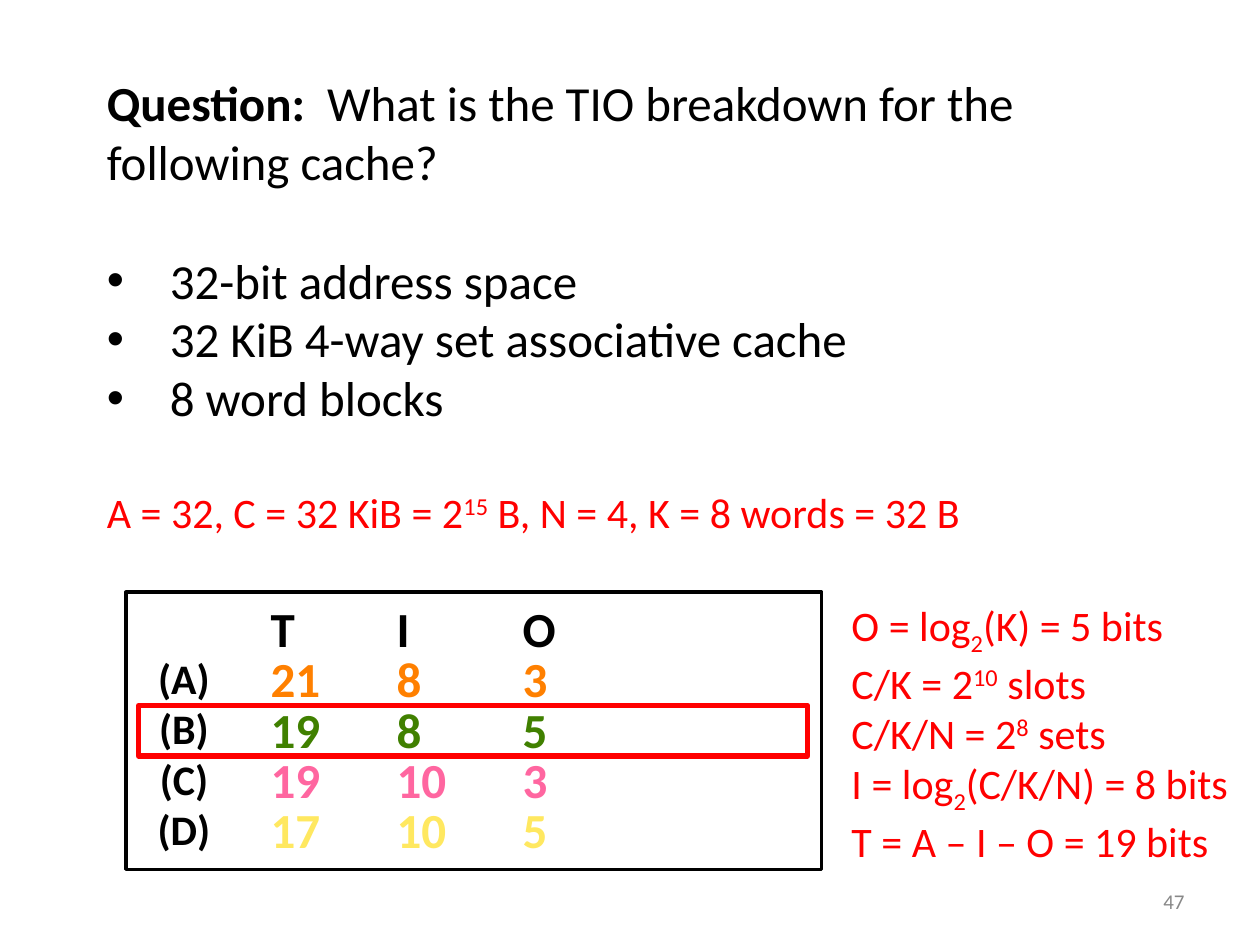
from dataclasses import dataclass

from lxml import etree
from pptx import Presentation
from pptx.dml.color import RGBColor
from pptx.enum import shapes, text
from pptx.oxml import ns
from pptx.util import Inches, Pt


@dataclass(frozen=True)
class Theme:
    """Hold the colours, font and type sizes of the slide."""
    font: str = "Calibri"
    ink: str = "000000"
    red: str = "FF0000"
    gray: str = "888888"
    orange: str = "FF8000"
    green: str = "408000"
    pink: str = "FF66A0"
    yellow: str = "FFE860"
    big: int = 28
    mid: int = 24
    small: int = 12


LOOK = Theme()
SUP, SUB = 30000, -25000
LEFT, RIGHT, MID = text.PP_ALIGN.LEFT, text.PP_ALIGN.RIGHT, text.PP_ALIGN.CENTER


def apply(item, form):
    """Set each attribute named in the format dict."""
    for name, value in form.items():
        setattr(item, name, value)


def add_run(para, words, size, color, bold=False, base=0):
    """Append a styled run, raised or lowered by base."""
    run = para.add_run()
    run.text = words
    apply(run.font, {"name": LOOK.font, "size": Pt(size), "bold": bold})
    run.font.color.rgb = RGBColor.from_string(color)
    if base:
        run.font._element.set("baseline", str(base))


def add_math(para, parts, base):
    """Write parts in which every second one is shifted by base."""
    for i, part in enumerate(parts):
        add_run(para, part, LOOK.mid, LOOK.red, base=base * (i % 2))


def add_dot(para):
    """Give the paragraph a round bullet and a hanging indent."""
    props = para._p.get_or_add_pPr()
    props.set("marL", str(Inches(0.5)))
    props.set("indent", str(-Inches(0.5)))
    font = etree.SubElement(props, ns.qn("a:buFont"))
    font.set("typeface", "Arial")
    etree.SubElement(props, ns.qn("a:buChar")).set("char", "•")


def add_box(tree, x, y, w, h, anchor=text.MSO_ANCHOR.TOP):
    """Add a wrapping text box and return its frame."""
    frame = tree.add_textbox(Inches(x), Inches(y), Inches(w), Inches(h)).text_frame
    apply(frame, {"word_wrap": True, "vertical_anchor": anchor})
    return frame


def add_label(tree, spot, words, size, color, align=LEFT, bold=True, **form):
    """Add a text box that holds a single run."""
    para = add_box(tree, *spot, **form).paragraphs[0]
    para.alignment = align
    add_run(para, words, size, color, bold)


def add_frame(tree, x, y, w, h, color, width):
    """Add an unfilled rectangle."""
    rect = tree.add_shape(shapes.MSO_SHAPE.RECTANGLE,
                          Inches(x), Inches(y), Inches(w), Inches(h))
    rect.shadow.inherit = False
    rect.fill.background()
    rect.line.color.rgb = RGBColor.from_string(color)
    rect.line.width = Pt(width)


def add_ask(tree):
    """Write the question, the cache facts and the known values."""
    frame = add_box(tree, 0.75, 0.53, 8, 3.8)
    para = frame.paragraphs[0]
    add_run(para, "Question:  ", LOOK.big, LOOK.ink, True)
    add_run(para, "What is the TIO breakdown for the following cache?",
            LOOK.big, LOOK.ink)
    para.space_after = Pt(34)
    for fact in ("32-bit address space", "32 KiB 4-way set associative cache",
                 "8 word blocks"):
        para = frame.add_paragraph()
        add_run(para, fact, LOOK.big, LOOK.ink)
        add_dot(para)
    para = frame.add_paragraph()
    para.space_before = Pt(34)
    add_math(para, ("A = 32, C = 32 KiB = 2", "15",
                    " B, N = 4, K = 8 words = 32 B"), SUP)


def add_picks(tree):
    """Write the framed list of answers."""
    group = tree.add_group_shape().shapes
    add_frame(group, 1, 4.7, 5.52, 2.2, LOOK.ink, 2)
    rows = (
        ("", "T\t\tI\t\tO", LOOK.ink),
        ("(A)", "21\t\t8\t\t3", LOOK.orange),
        ("(B)", "19\t\t8\t\t5", LOOK.green),
        ("(C)", "19\t\t10\t\t3", LOOK.pink),
        ("(D)", "17\t\t10\t\t5", LOOK.yellow),
    )
    for i, (mark, bits, color) in enumerate(rows):
        top = 4.7 + 0.4 * i
        add_label(group, (2.05, top, 4.47, 0.57), bits, LOOK.big, color)
        if mark:
            add_label(group, (1, top + 0.03, 0.92, 0.5), mark, LOOK.mid,
                      LOOK.ink, MID)


def add_proof(tree):
    """Write the steps that lead to the answer."""
    frame = add_box(tree, 6.66, 4.71, 3.34, 2.12)
    steps = (
        (("O = log", "2", "(K) = 5 bits"), SUB),
        (("C/K = 2", "10", " slots"), SUP),
        (("C/K/N = 2", "8", " sets"), SUP),
        (("I = log", "2", "(C/K/N) = 8 bits"), SUB),
        (("T = A – I – O = 19 bits",), 0),
    )
    for i, (parts, base) in enumerate(steps):
        para = frame.add_paragraph() if i else frame.paragraphs[0]
        add_math(para, parts, base)


def main():
    """Build and save the slide."""
    deck = Presentation()
    apply(deck, {"slide_width": Inches(10), "slide_height": Inches(7.5)})
    tree = deck.slides.add_slide(deck.slide_layouts[6]).shapes
    add_label(tree, (7.17, 6.95, 2.33, 0.4), "47", LOOK.small, LOOK.gray,
              RIGHT, False, anchor=text.MSO_ANCHOR.MIDDLE)
    add_ask(tree)
    add_picks(tree)
    add_frame(tree, 1.1, 5.6, 5.31, 0.4, LOOK.red, 3)
    add_proof(tree)
    deck.save("out.pptx")


if __name__ == "__main__":
    main()
